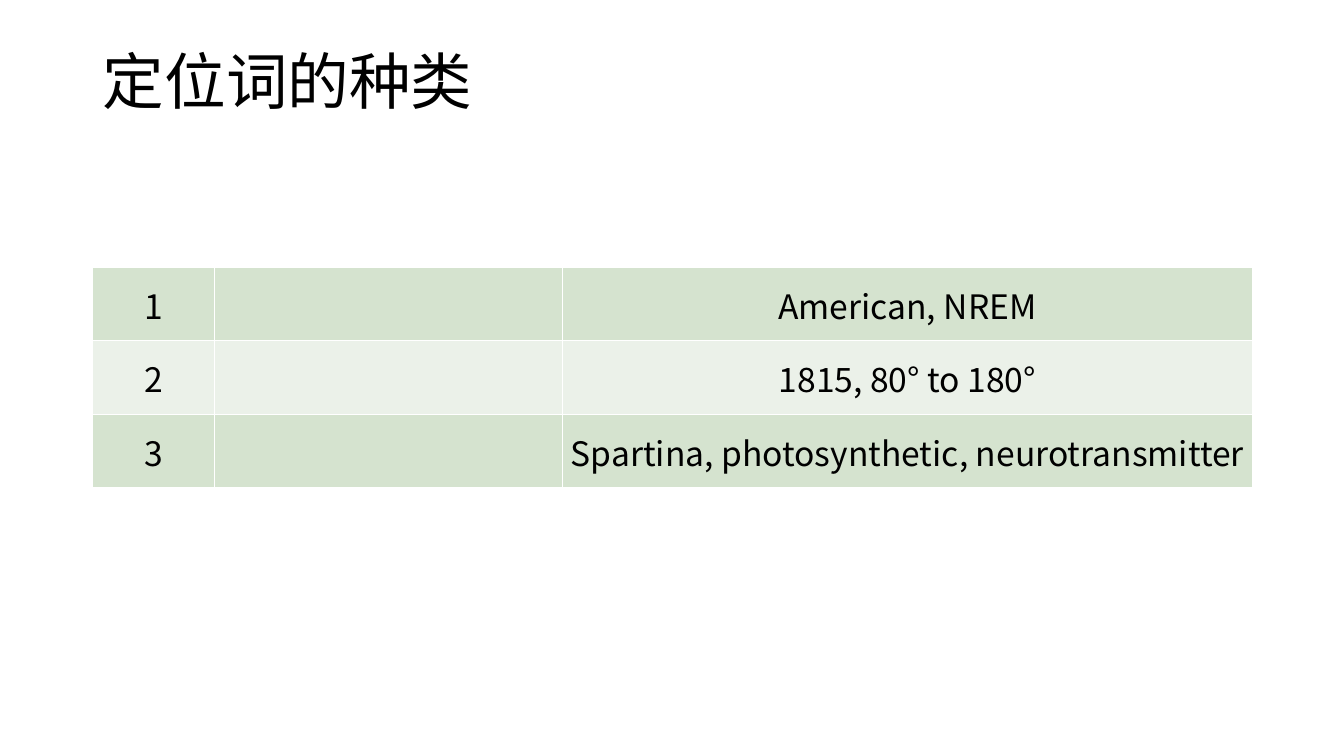
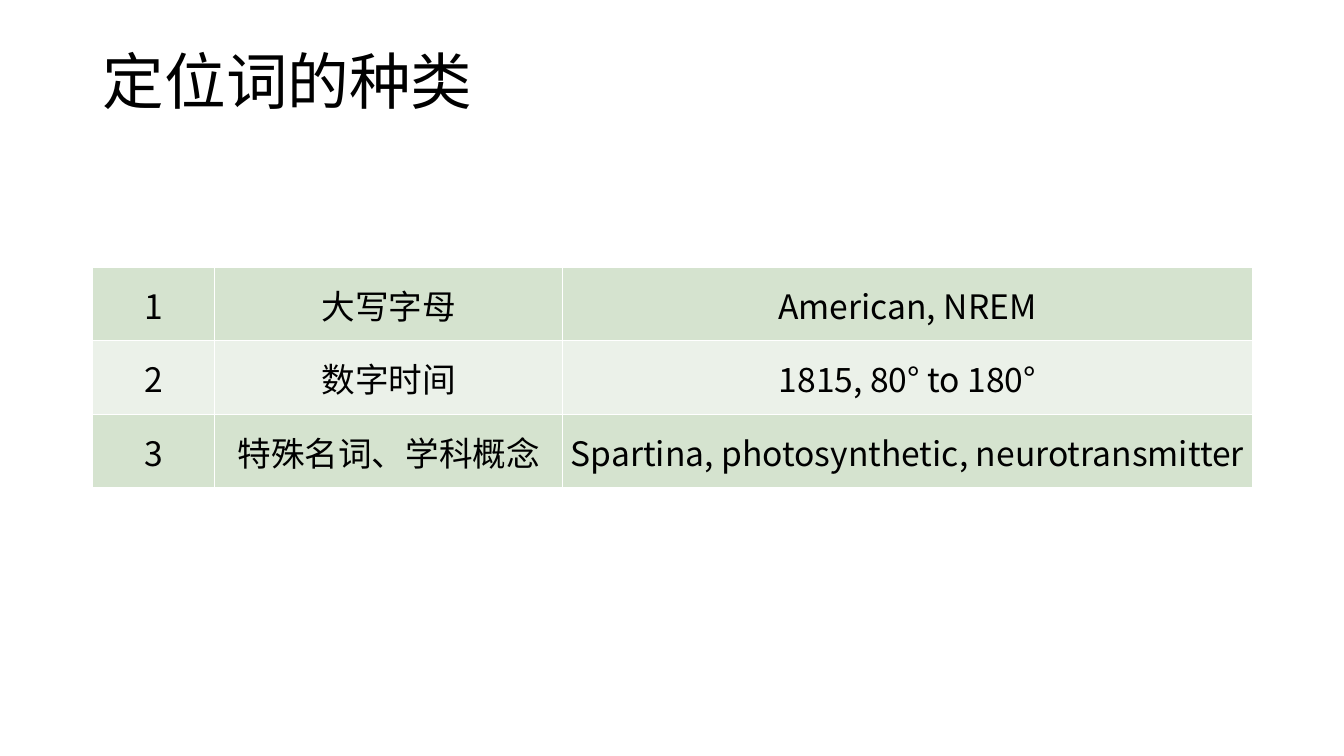
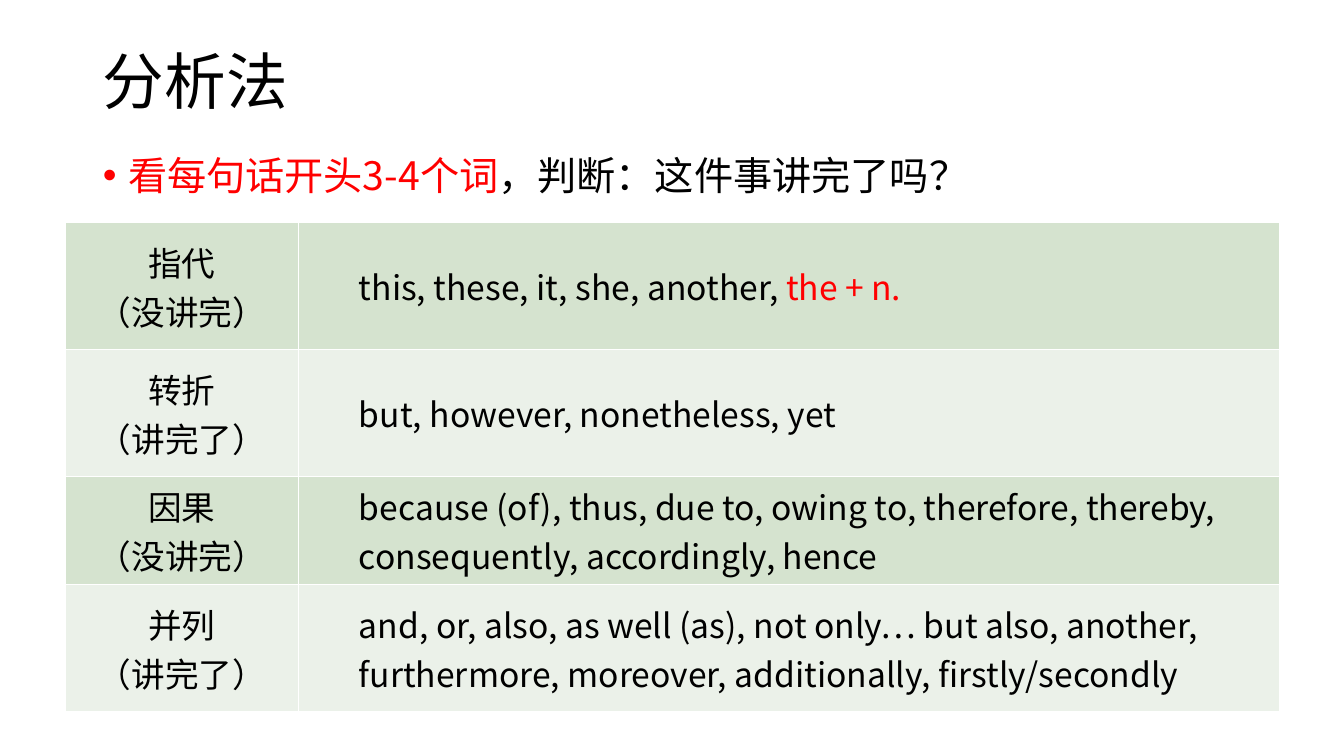
"""Build three slides on locating words and sentence analysis."""
from dataclasses import dataclass

from lxml.etree import SubElement
from pptx import Presentation
from pptx.dml.color import RGBColor as RGB
from pptx.enum.text import MSO_ANCHOR as Anchor, PP_ALIGN as Align
from pptx.oxml.ns import qn
from pptx.util import Inches, Pt


@dataclass(frozen=True)
class Theme:
    font: str = "Noto Sans CJK SC"
    black: RGB = RGB(0x00, 0x00, 0x00)
    red: RGB = RGB(0xFF, 0x00, 0x00)
    bands: tuple = (RGB(0xD5, 0xE3, 0xCF), RGB(0xEB, 0xF1, 0xE9))
    title: int = 44
    body: int = 28
    cell: int = 24


theme = Theme()


def style(para, size, color=theme.black, align=Align.LEFT):
    para.alignment = align
    font = para.font
    font.size, font.name = Pt(size), theme.font
    font.color.rgb = color
    SubElement(font._element, qn("a:ea"), typeface=theme.font)


def grid(slide, left, top, cols, highs, rows):
    frame = slide.shapes.add_table(
        len(rows), len(cols), Inches(left), Inches(top),
        Inches(sum(cols)), Inches(sum(highs)))
    table = frame.table
    table.first_row = table.horz_banding = False
    for col, width in zip(table.columns, cols):
        col.width = Inches(width)
    for i, (row, high, texts) in enumerate(zip(table.rows, highs, rows)):
        row.height = Inches(high)
        for cell, text in zip(row.cells, texts):
            cell.fill.solid()
            cell.fill.fore_color.rgb = theme.bands[i % 2]
            cell.vertical_anchor = Anchor.MIDDLE
            if text:
                cell.text = text
                for para in cell.text_frame.paragraphs:
                    style(para, theme.cell, align=Align.CENTER)
    return table


deck = Presentation()
deck.slide_width, deck.slide_height = Inches(13.33), Inches(7.5)
only, full = deck.slide_layouts[5], deck.slide_layouts[1]

slides = []
for layout, name in ((only, "定位词的种类"), (only, "定位词的种类"), (full, "分析法")):
    slide = deck.slides.add_slide(layout)
    title = slide.shapes.title
    title.left, title.top = Inches(0.92), Inches(0.4)
    title.width, title.height = Inches(11.5), Inches(0.87)
    title.text = name
    title.text_frame.vertical_anchor = Anchor.MIDDLE
    para = title.text_frame.paragraphs[0]
    para.line_spacing = 0.9
    style(para, theme.title)
    slides.append(slide)

samples = ["American, NREM", "1815, 80° to 180°",
           "Spartina, photosynthetic, neurotransmitter"]
kinds = ["大写字母", "数字时间", "特殊名词、学科概念"]
for slide, names in zip(slides, ([""] * 3, kinds)):
    rows = list(zip("123", names, samples))
    table = grid(slide, 0.92, 2.65, [1.21, 3.45, 6.84], [0.73] * 3, rows)
    for cell in table.iter_cells():
        cell.margin_left = cell.margin_right = cell.margin_top = Inches(0.01)
        cell.margin_bottom = 0

slide = slides[2]
body = slide.placeholders[1]
body.left, body.top = Inches(0.92), Inches(1.5)
body.width, body.height = Inches(11.5), Inches(5.26)
para = body.text_frame.paragraphs[0]
para.add_run().text = "看每句话开头3-4个词"
rest = para.add_run()
rest.text = "，判断：这件事讲完了吗？"
rest.font.color.rgb = theme.black
style(para, theme.body, theme.red)
para.space_before, para.line_spacing = Pt(10), 0.9
props = para._p.get_or_add_pPr()
props.set("marL", str(Inches(0.25)))
props.set("indent", str(Inches(-0.25)))

signals = [
    ("指代\n（没讲完）", "this, these, it, she, another, "),
    ("转折\n（讲完了）", "but, however, nonetheless, yet"),
    ("因果\n（没讲完）", "because (of), thus, due to, owing to, therefore, thereby, "
     "consequently, accordingly, hence"),
    ("并列\n（讲完了）", "and, or, also, as well (as), not only… but also, another, "
     "furthermore, moreover, additionally, firstly/secondly"),
]
table = grid(slide, 0.65, 2.21, [2.31, 9.73], [1.26, 1.26, 1.07, 1.26], signals)
for i in range(len(signals)):
    cell = table.cell(i, 1)
    cell.margin_left = Inches(0.6)
    cell.text_frame.paragraphs[0].alignment = Align.LEFT
noun = table.cell(0, 1).text_frame.paragraphs[0].add_run()
noun.text = "the + n."
noun.font.color.rgb = theme.red

deck.save("out.pptx")
